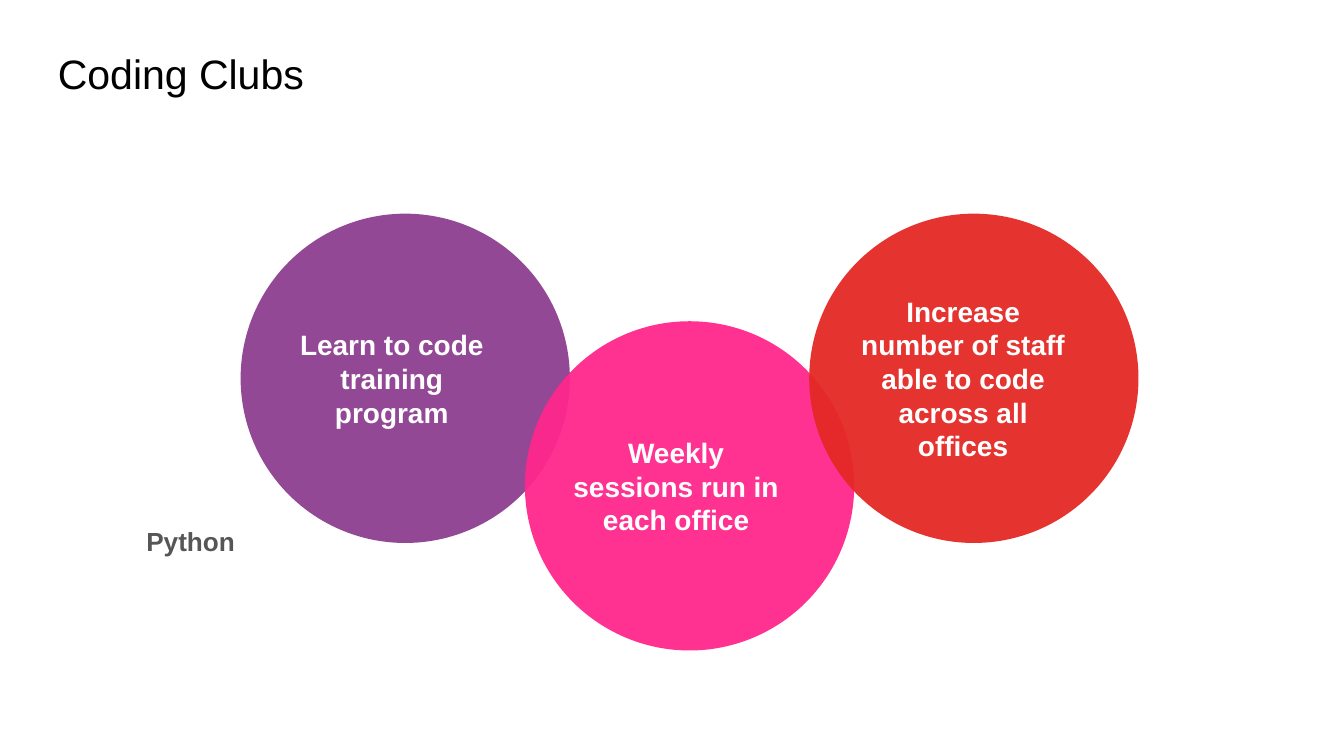
from dataclasses import dataclass

from lxml import etree
from pptx import Presentation
from pptx.dml.color import RGBColor
from pptx.enum.shapes import MSO_SHAPE
from pptx.enum.text import MSO_ANCHOR, PP_ALIGN
from pptx.oxml.ns import qn
from pptx.shapes.autoshape import Shape
from pptx.slide import Slide
from pptx.util import Pt

OVAL = MSO_SHAPE.OVAL
TOP, MIDDLE = MSO_ANCHOR.TOP, MSO_ANCHOR.MIDDLE
LEFT, CENTER = PP_ALIGN.LEFT, PP_ALIGN.CENTER

BLACK = RGBColor(0x00, 0x00, 0x00)
WHITE = RGBColor(0xFF, 0xFF, 0xFF)
GREY = RGBColor(0x57, 0x56, 0x56)
PURPLE = RGBColor(0x8E, 0x3F, 0x91)
PINK = RGBColor(0xFF, 0x27, 0x8D)
RED = RGBColor(0xE4, 0x29, 0x25)

FONT = "Arial"
DIAMETER = 176.4
FIRST_LEFT = 128.9
STEP = 152.3
OPACITY = 95


@dataclass
class Circle:
    text: str
    color: RGBColor
    top: float
    right_inset: float


CIRCLES = [
    Circle("Learn to code training program", PURPLE, 114.5, 14.4),
    Circle("Weekly sessions run in each office", PINK, 172.1, 14.4),
    Circle("Increase number of staff able to code across all offices", RED, 114.5, 11.5),
]


def write(sp: Shape, text: str, *, size: float, color: RGBColor, bold: bool = False,
          align: PP_ALIGN = LEFT, anchor: MSO_ANCHOR = TOP, spacing: float = 1.0,
          insets: tuple[float, float, float, float] = (0, 0, 0, 0)) -> None:
    tf = sp.text_frame
    tf.word_wrap = True
    tf.vertical_anchor = anchor
    tf.margin_left, tf.margin_top, tf.margin_right, tf.margin_bottom = map(Pt, insets)
    p = tf.paragraphs[0]
    p.alignment = align
    p.line_spacing = spacing
    r = p.add_run()
    r.text = text
    r.font.name = FONT
    r.font.size = Pt(size)
    r.font.bold = bold
    r.font.color.rgb = color


def draw_circle(s: Slide, circle: Circle, left: float) -> None:
    sp = s.shapes.add_shape(OVAL, Pt(left), Pt(circle.top), Pt(DIAMETER), Pt(DIAMETER))
    sp.shadow.inherit = False
    sp.line.fill.background()
    sp.fill.solid()
    sp.fill.fore_color.rgb = circle.color
    color = sp.fill._xPr.find(qn("a:solidFill")).find(qn("a:srgbClr"))
    etree.SubElement(color, qn("a:alpha")).set("val", str(OPACITY * 1000))
    write(sp, circle.text, size=15, color=WHITE, bold=True, align=CENTER,
          anchor=MIDDLE, insets=(0, 0, circle.right_inset, 0))


def main() -> None:
    prs = Presentation()
    prs.slide_width, prs.slide_height = Pt(720), Pt(405)
    s = prs.slides.add_slide(prs.slide_layouts[6])

    title = s.shapes.add_textbox(Pt(31), Pt(31), Pt(658), Pt(23.8))
    write(title, "Coding Clubs", size=22, color=BLACK, spacing=0.8)

    for i, circle in enumerate(CIRCLES):
        draw_circle(s, circle, FIRST_LEFT + i * STEP)

    label = s.shapes.add_textbox(Pt(71.3), Pt(277.9), Pt(78.5), Pt(24.5))
    write(label, "Python", size=14, color=GREY, bold=True, insets=(7.2, 3.6, 7.2, 3.6))

    prs.save("out.pptx")


if __name__ == "__main__":
    main()
